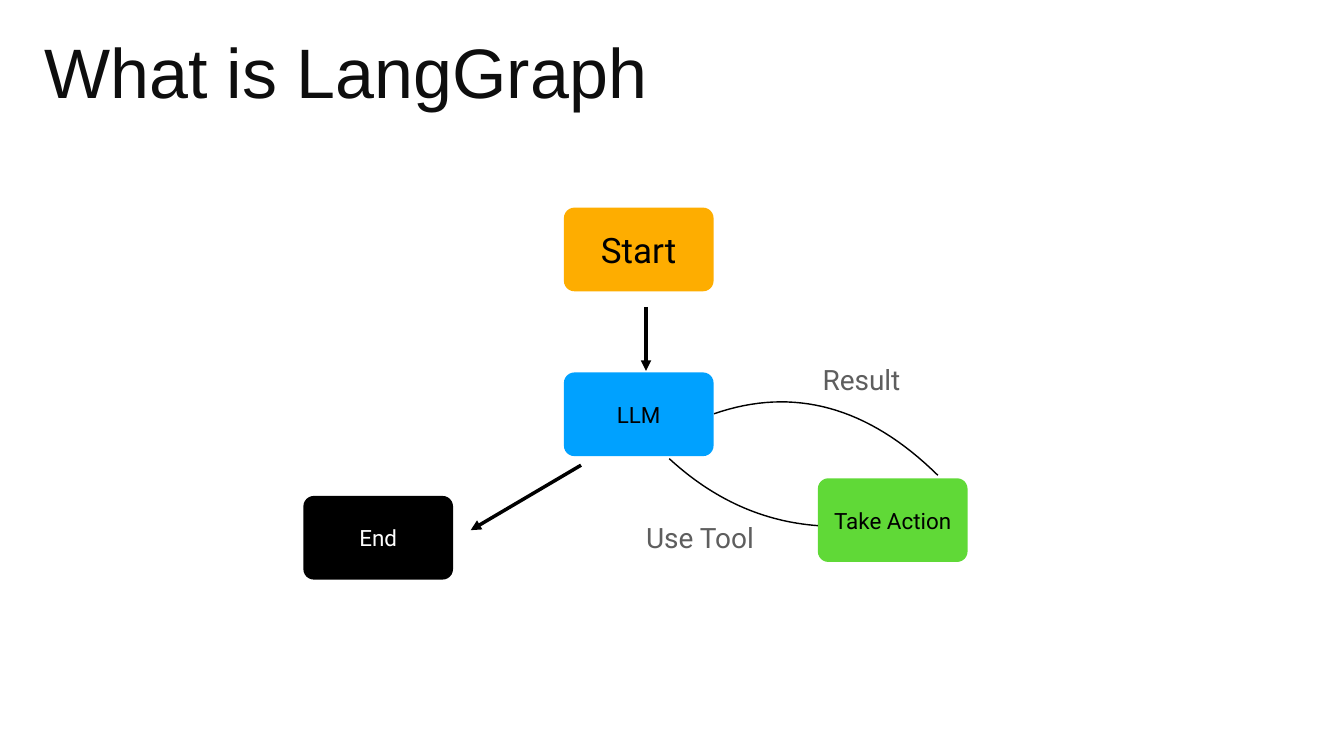
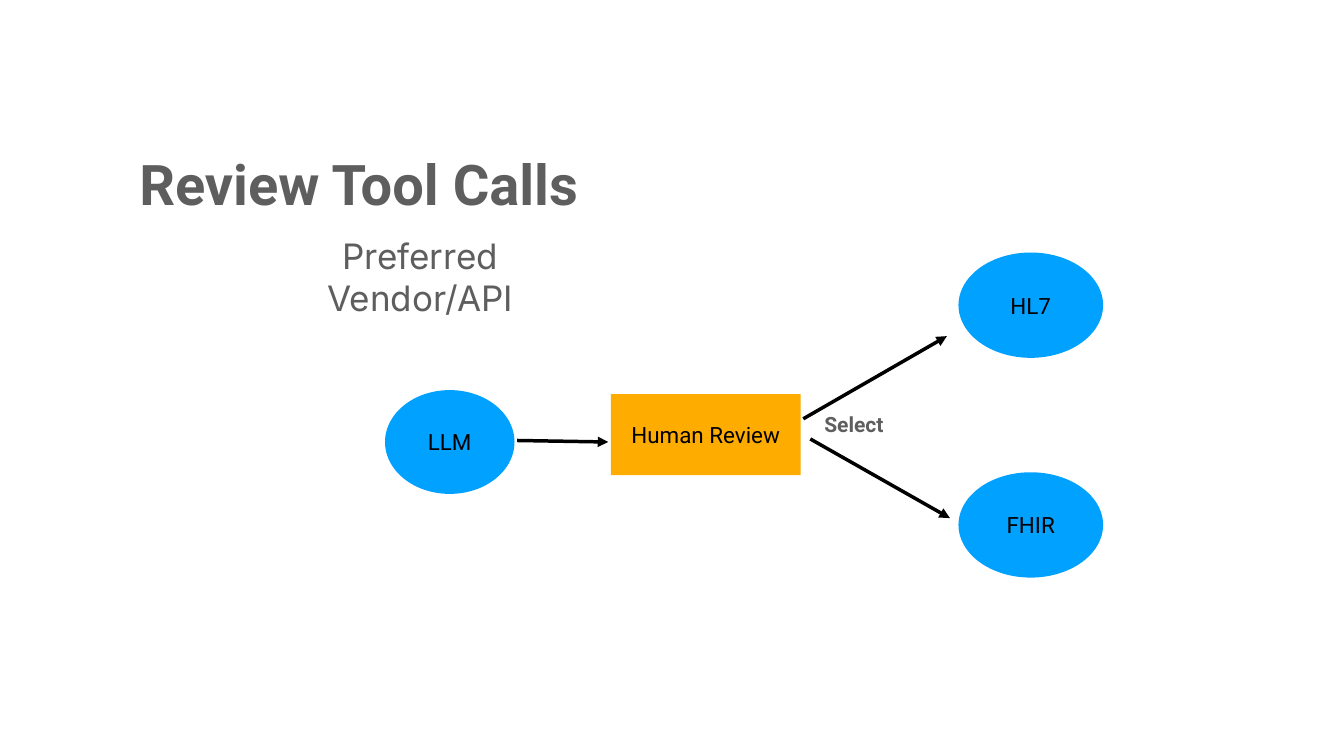
from lxml import etree
from pptx import Presentation
from pptx.dml.color import RGBColor
from pptx.enum.shapes import MSO_CONNECTOR, MSO_SHAPE
from pptx.enum.text import MSO_ANCHOR, MSO_AUTO_SIZE, PP_ALIGN
from pptx.oxml.ns import qn
from pptx.util import Inches, Pt

ROUNDED = MSO_SHAPE.ROUNDED_RECTANGLE
RECTANGLE = MSO_SHAPE.RECTANGLE
ELLIPSE = MSO_SHAPE.OVAL
STRAIGHT = MSO_CONNECTOR.STRAIGHT
MIDDLE = MSO_ANCHOR.MIDDLE
FIXED_SIZE = MSO_AUTO_SIZE.NONE
LEFT, CENTER = PP_ALIGN.LEFT, PP_ALIGN.CENTER

# Shared style
BLACK, WHITE, INK, GREY = "000000", "FFFFFF", "0E0E0E", "5E5E5E"
ORANGE, BLUE, GREEN = "FEAD00", "00A1FF", "60D937"
FONT = "Roboto"
INSET = 0.06
TITLE_ONLY = 5


def rgb(value):
    return RGBColor.from_string(value)


def write_text(shape, text, size=32, color=BLACK, font=FONT, bold=False,
               align=CENTER, wrap=True):
    frame = shape.text_frame
    frame.auto_size = FIXED_SIZE
    frame.word_wrap = wrap
    frame.vertical_anchor = MIDDLE
    frame.margin_left = frame.margin_right = Inches(INSET)
    frame.margin_top = frame.margin_bottom = Inches(INSET)
    para = frame.paragraphs[0]
    para.alignment = align
    span = para.add_run()
    span.text = text
    span.font.name = font
    span.font.size = Pt(size)
    span.font.bold = bold
    span.font.color.rgb = rgb(color)


class FlowDeck:
    """Holds the presentation and the slide being drawn."""

    def __init__(self, width, height):
        self.deck = Presentation()
        self.deck.slide_width = Inches(width)
        self.deck.slide_height = Inches(height)
        self.page = None

    def add_page(self, title, left, top, width, height, **style):
        layout = self.deck.slide_layouts[TITLE_ONLY]
        self.page = self.deck.slides.add_slide(layout)
        box = self.page.shapes.title
        box.left, box.top = Inches(left), Inches(top)
        box.width, box.height = Inches(width), Inches(height)
        write_text(box, title, wrap=False, **style)

    def add_node(self, kind, text, left, top, width, height, fill, **style):
        node = self.page.shapes.add_shape(
            kind, Inches(left), Inches(top), Inches(width), Inches(height))
        node.shadow.inherit = False
        node.fill.solid()
        node.fill.fore_color.rgb = rgb(fill)
        node.line.fill.background()
        if kind == ROUNDED:
            node.adjustments[0] = 0.125
        write_text(node, text, **style)

    def add_label(self, text, left, top, width, height, wrap=False, **style):
        box = self.page.shapes.add_textbox(
            Inches(left), Inches(top), Inches(width), Inches(height))
        write_text(box, text, color=GREY, wrap=wrap, **style)

    def add_arrow(self, start, end):
        arrow = self.page.shapes.add_connector(
            STRAIGHT, *(Inches(value) for value in (*start, *end)))
        arrow.line.color.rgb = rgb(BLACK)
        arrow.line.width = Pt(5)
        outline = arrow.line._get_or_add_ln()
        etree.SubElement(outline, qn("a:tailEnd"), type="triangle")
        etree.SubElement(arrow._element.spPr, qn("a:effectLst"))

    def add_curve(self, *controls, steps=32):
        """Draws a cubic Bezier curve through short segments."""
        points = []
        for step in range(steps + 1):
            t = step / steps
            weights = ((1 - t) ** 3, 3 * t * (1 - t) ** 2,
                       3 * t ** 2 * (1 - t), t ** 3)
            points.append(tuple(
                Inches(sum(w * c for w, c in zip(weights, axis)))
                for axis in zip(*controls)))
        builder = self.page.shapes.build_freeform(*points[0])
        builder.add_line_segments(points[1:], close=False)
        curve = builder.convert_to_shape()
        curve.shadow.inherit = False
        curve.fill.background()
        curve.line.color.rgb = rgb(BLACK)
        curve.line.width = Pt(2)


def build_agent_loop(flow):
    flow.add_page("What is LangGraph", 0.82, 0.56, 12.09, 1.66,
                  size=100, font="Arial", color=INK, align=LEFT)

    # Steps of the graph
    steps = [
        ("Start", 11.19, 4.12, ORANGE, {"size": 50}),
        ("LLM", 11.19, 7.39, BLUE, {}),
        ("End", 6.02, 9.84, BLACK, {"color": WHITE}),
        ("Take Action", 16.23, 9.49, GREEN, {}),
    ]
    for text, left, top, fill, style in steps:
        flow.add_node(ROUNDED, text, left, top, 2.97, 1.66, fill, **style)

    # Links between the steps
    flow.add_arrow((11.53, 9.23), (9.34, 10.52))
    flow.add_arrow((12.82, 6.09), (12.82, 7.36))
    flow.add_curve((16.23, 10.43), (15.14, 10.35), (14.16, 9.91), (13.28, 9.1))
    flow.add_curve((18.61, 9.43), (17.23, 8.07), (15.75, 7.66), (14.17, 8.21))
    flow.add_label("Use Tool", 12.75, 10.29, 2.28, 0.76, size=40)
    flow.add_label("Result", 16.25, 7.15, 1.69, 0.76, size=40)


def build_tool_review(flow):
    flow.add_page("Review Tool Calls", 2.41, 2.91, 9.42, 1.43,
                  size=80, color=GREY, bold=True)
    flow.add_label("Preferred Vendor/API", 6.24, 4.6, 4.2, 1.76,
                   wrap=True, size=50, font="Inter")

    # Model, reviewer and the two choices
    flow.add_node(ELLIPSE, "LLM", 7.64, 7.74, 2.57, 2.06, BLUE)
    flow.add_node(RECTANGLE, "Human Review", 12.12, 7.82, 3.77, 1.61, ORANGE)
    for text, top in (("HL7", 5.01), ("FHIR", 9.37)):
        flow.add_node(ELLIPSE, text, 19.02, top, 2.87, 2.09, BLUE)

    # Links
    for start, end in (((15.94, 8.31), (18.79, 6.67)),
                       ((10.26, 8.74), (12.07, 8.77)),
                       ((16.08, 8.71), (18.85, 10.28))):
        flow.add_arrow(start, end)
    flow.add_label("Select", 16.26, 8.11, 1.37, 0.61, size=30, bold=True)


def main():
    flow = FlowDeck(26.67, 15)
    build_agent_loop(flow)
    build_tool_review(flow)
    flow.deck.save("out.pptx")


if __name__ == "__main__":
    main()
